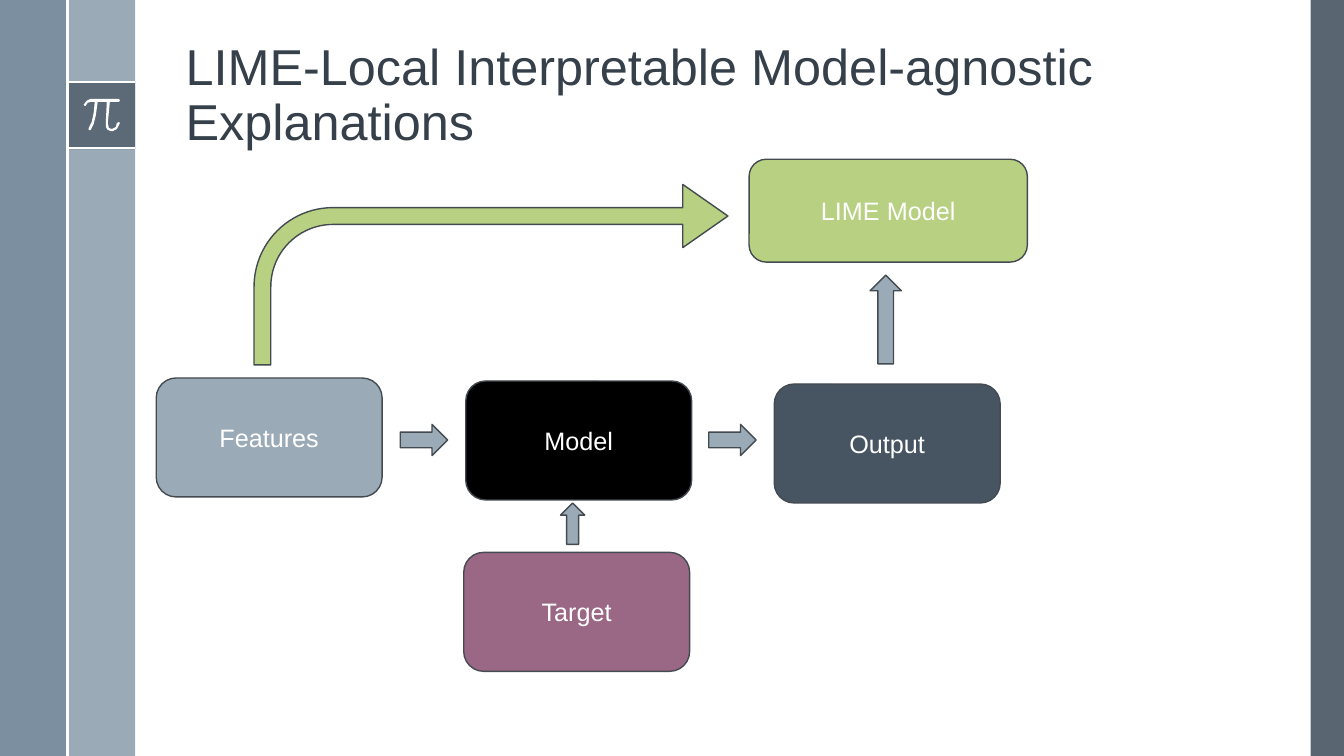
from dataclasses import dataclass

from lxml.etree import SubElement
from pptx import Presentation
from pptx.dml.color import RGBColor
from pptx.enum.shapes import MSO_CONNECTOR, MSO_SHAPE as Preset
from pptx.enum.text import MSO_ANCHOR, PP_ALIGN
from pptx.oxml.ns import qn
from pptx.util import Inches, Pt

FONT = "Arial"
COLORS = {
    "white": "FFFFFF",
    "black": "000000",
    "slate": "475562",
    "steel": "6A8093",
    "mist": "9BAAB7",
    "plum": "9A6785",
    "green": "B8D082",
    "outline": "444B50",
    "title": "35404A",
}
PI_OUTLINE = [
    (1.18, 0.98), (0.9, 0.98), (0.86, 1.0), (0.83, 1.04), (0.84, 1.05),
    (0.85, 1.05), (0.87, 1.02), (0.9, 1.01), (0.94, 1.01), (0.93, 1.12),
    (0.91, 1.21), (0.88, 1.27), (0.88, 1.29), (0.9, 1.29), (0.93, 1.23),
    (0.95, 1.15), (0.97, 1.01), (1.06, 1.01), (1.05, 1.22), (1.05, 1.26),
    (1.07, 1.29), (1.1, 1.3), (1.12, 1.3), (1.16, 1.28), (1.19, 1.22),
    (1.18, 1.21), (1.16, 1.22), (1.15, 1.26), (1.11, 1.28), (1.08, 1.27),
    (1.07, 1.22), (1.09, 1.01), (1.18, 1.01), (1.19, 1.0),
]


@dataclass
class Panel:
    left: float
    top: float
    width: float
    height: float
    color: str
    opacity: int = 100


@dataclass
class Rule:
    start: tuple[float, float]
    end: tuple[float, float]


@dataclass
class Box:
    label: str
    left: float
    top: float
    color: str
    width: float = 2.24
    height: float = 1.18


@dataclass
class Arrow:
    preset: Preset
    left: float
    top: float
    width: float
    height: float
    color: str = "mist"
    adjustments: tuple[float, ...] = ()


PANELS = [
    Panel(13, 0, 0.33, 7.5, "slate", 90),
    Panel(0.67, 0, 0.67, 7.5, "mist"),
    Panel(0, 0, 0.67, 7.5, "steel", 88),
    Panel(0.67, 0.81, 0.67, 0.67, "slate", 75),
]
RULES = [
    Rule((0.67, 0.81), (1.34, 0.81)),
    Rule((0.67, 1.47), (1.34, 1.47)),
    Rule((0.67, 0), (0.67, 7.5)),
]
BOXES = [
    Box("Features", 1.55, 3.75, "mist"),
    Box("Model", 4.62, 3.78, "black"),
    Box("Output", 7.68, 3.81, "slate"),
    Box("Target", 4.6, 5.48, "plum"),
    Box("LIME Model", 7.43, 1.58, "green", 2.76, 1.02),
]
ARROWS = [
    Arrow(Preset.RIGHT_ARROW, 3.97, 4.21, 0.47, 0.31),
    Arrow(Preset.RIGHT_ARROW, 7.03, 4.21, 0.47, 0.31),
    Arrow(Preset.UP_ARROW, 5.56, 4.99, 0.24, 0.41),
    Arrow(Preset.BENT_ARROW, 2.52, 1.83, 4.7, 1.79, "green", (0.093, 0.175, 0.25, 0.438)),
    Arrow(Preset.UP_ARROW, 8.63, 2.73, 0.31, 0.88),
]


def rgb(name: str) -> RGBColor:
    return RGBColor.from_string(COLORS[name])


def paint(shape, color: str, outlined: bool = False) -> None:
    shape.shadow.inherit = False
    shape.fill.solid()
    shape.fill.fore_color.rgb = rgb(color)
    if outlined:
        shape.line.color.rgb = rgb("outline")
        shape.line.width = Pt(1)
    else:
        shape.line.fill.background()


def add_preset(slide, preset: Preset, item: Panel | Box | Arrow, outlined: bool):
    bounds = (item.left, item.top, item.width, item.height)
    shape = slide.shapes.add_shape(preset, *map(Inches, bounds))
    paint(shape, item.color, outlined)
    return shape


def add_panel(slide, panel: Panel) -> None:
    shape = add_preset(slide, Preset.RECTANGLE, panel, False)
    if panel.opacity < 100:
        color = shape.fill._xPr.find(qn("a:solidFill"))[0]
        SubElement(color, qn("a:alpha")).set("val", str(panel.opacity * 1000))


def add_rule(slide, rule: Rule) -> None:
    ends = map(Inches, (*rule.start, *rule.end))
    connector = slide.shapes.add_connector(MSO_CONNECTOR.STRAIGHT, *ends)
    connector.line.color.rgb = rgb("white")
    connector.line.width = Pt(1.5)
    SubElement(connector._element.spPr, qn("a:effectLst"))


def add_pi(slide) -> None:
    points = [(Inches(x), Inches(y)) for x, y in PI_OUTLINE]
    builder = slide.shapes.build_freeform(*points[0])
    builder.add_line_segments(points[1:], close=True)
    paint(builder.convert_to_shape(), "white")


def add_box(slide, box: Box) -> None:
    shape = add_preset(slide, Preset.ROUNDED_RECTANGLE, box, True)
    shape.text_frame.text = box.label
    shape.text_frame.vertical_anchor = MSO_ANCHOR.MIDDLE
    paragraph = shape.text_frame.paragraphs[0]
    paragraph.alignment = PP_ALIGN.CENTER
    set_font(paragraph, 18, "white")


def add_arrow(slide, arrow: Arrow) -> None:
    shape = add_preset(slide, arrow.preset, arrow, True)
    for index, value in enumerate(arrow.adjustments):
        shape.adjustments[index] = value


def set_font(paragraph, size: int, color: str) -> None:
    paragraph.font.name = FONT
    paragraph.font.size = Pt(size)
    paragraph.font.color.rgb = rgb(color)


def set_title(slide, text: str) -> None:
    title = slide.shapes.title
    title.left, title.top, title.width, title.height = map(Inches, (1.74, 0.19, 10.7, 1.36))
    title.text_frame.text = text
    title.text_frame.word_wrap = True
    title.text_frame.vertical_anchor = MSO_ANCHOR.BOTTOM
    paragraph = title.text_frame.paragraphs[0]
    paragraph.alignment = PP_ALIGN.LEFT
    paragraph.line_spacing = 0.9
    set_font(paragraph, 36, "title")


def main() -> None:
    presentation = Presentation()
    presentation.slide_width = Inches(13.33)
    presentation.slide_height = Inches(7.5)
    slide = presentation.slides.add_slide(presentation.slide_layouts[5])
    for panel in PANELS:
        add_panel(slide, panel)
    for rule in RULES:
        add_rule(slide, rule)
    add_pi(slide)
    set_title(slide, "LIME-Local Interpretable Model-agnostic Explanations")
    for box in BOXES:
        add_box(slide, box)
    for arrow in ARROWS:
        add_arrow(slide, arrow)
    presentation.save("out.pptx")


if __name__ == "__main__":
    main()
